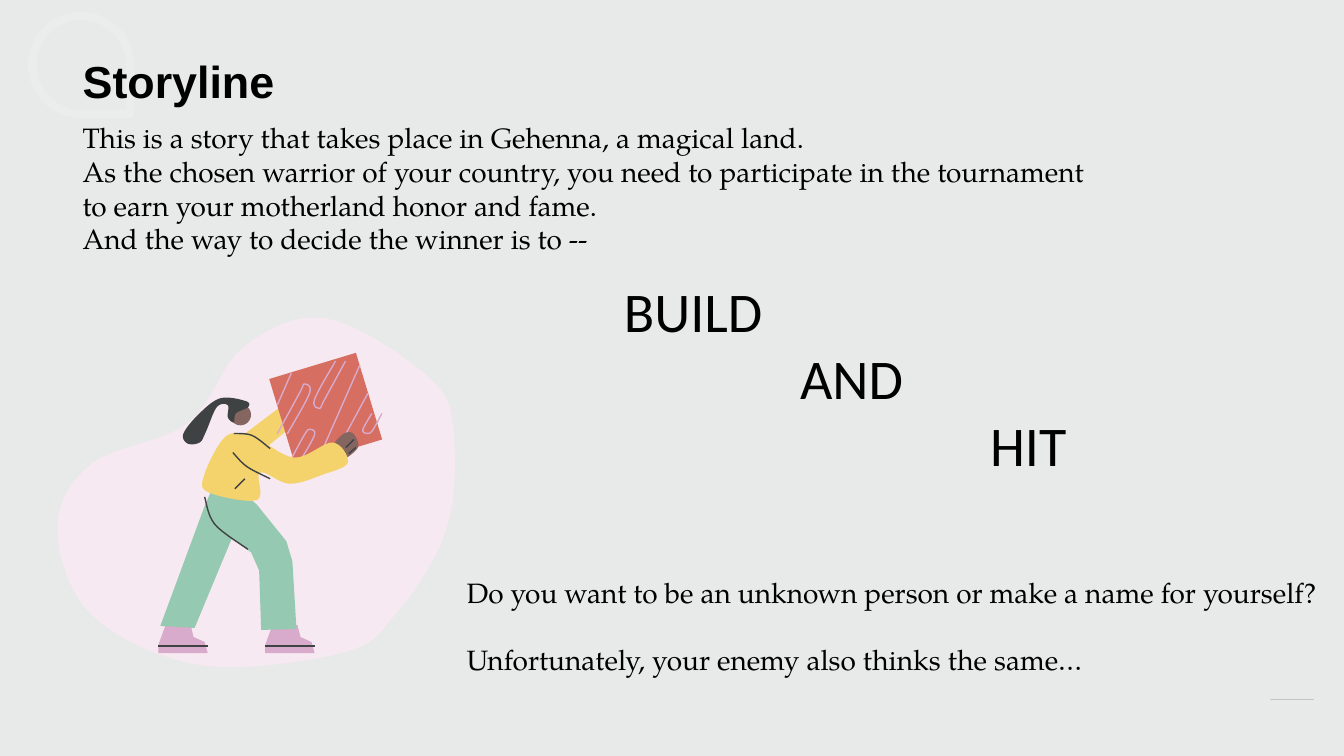
from pptx import Presentation
from pptx.util import Inches, Pt
from pptx.dml.color import RGBColor
from pptx.enum.shapes import MSO_SHAPE, MSO_CONNECTOR
from pptx.enum.text import PP_ALIGN, MSO_ANCHOR, MSO_AUTO_SIZE
from pptx.oxml.ns import qn
from lxml.etree import SubElement

INK = {
    "page": "E8EAE9", "ring": "EBEDEC", "rule": "181818", "text": "000000",
    "blob": "F7E9F1", "shirt": "F4D26C", "box": "D66E61", "mauve": "D8AACB",
    "skin": "85655F", "dark": "3F4242", "pants": "96C9B2",
}
TITLE = "Storyline"
SERIF = {"name": "TeX Gyre Pagella", "size": Pt(20)}
SANS = {"name": "Calibri", "size": Pt(40)}
HEAD = {"name": "Arial", "size": Pt(32), "bold": True}
LEFT, MID, RIGHT = PP_ALIGN.LEFT, PP_ALIGN.CENTER, PP_ALIGN.RIGHT

TEXTS = [
    ((0.72, 1.15, 10.39, 1.45), SERIF, 0, [
        ("This is a story that takes place in Gehenna, a magical land.", LEFT),
        ("As the chosen warrior of your country, you need to participate in the "
         "tournament to earn your motherland honor and fame.", LEFT),
        ("And the way to decide the winner is to --", LEFT)]),
    ((6.09, 2.69, 4.71, 2.12), SANS, 0,
     [("BUILD ", LEFT), ("AND", MID), ("HIT ", RIGHT)]),
    ((4.53, 5.66, 8.87, 1.11), SERIF, 24, [
        ("Do you want to be an unknown person or make a name for yourself?", LEFT),
        ("Unfortunately, your enemy also thinks the same…", LEFT)]),
]

BLOB = [(0.57, 5.24), (0.91, 4.6), (1.86, 4.2), (2.42, 3.44), (3.24, 3.16), (4.26, 3.75),
        (4.5, 4.31), (4.42, 5.27), (3.91, 6.11), (3.38, 6.48), (1.99, 6.6), (0.91, 6.1)]
ARM = [(3.15, 4.02), (2.53, 4.53), (2.38, 4.34), (3.04, 3.84)]
BOX = [(3.79, 4.36), (2.93, 4.62), (2.67, 3.76), (3.53, 3.5)]
BARS = [[(2.89, 3.7), (2.75, 4.02)], [(3.57, 3.62), (3.16, 4.55)], [(3.65, 3.9), (3.33, 4.49)]]
LOOPS = [(3.02, 3.81, 0.55), (3.07, 4.26, 0.32), (3.17, 4.05, -0.52), (3.65, 4.3, -0.22)]
HAND = [(3.3, 4.44), (3.4, 4.31), (3.5, 4.3), (3.55, 4.44), (3.37, 4.57)]
SHOE = [(1.65, 6.18), (1.89, 6.2), (1.92, 6.32), (2.03, 6.37), (2.06, 6.48),
        (1.57, 6.48), (1.57, 6.4)]
SOLE = [(1.57, 6.41), (2.06, 6.41)]
FACE = (2.28, 4.01, 0.21, 0.21)
PANTS = [(2.03, 5.02), (1.59, 6.21), (1.93, 6.23), (2.3, 5.34), (2.49, 5.48), (2.57, 5.66),
         (2.59, 6.25), (2.94, 6.24), (2.9, 5.57), (2.84, 5.37), (2.55, 5.01),
         (2.33, 4.81), (2.13, 4.79)]
HAIR = [(2.44, 3.98), (2.19, 3.95), (1.98, 4.1), (1.82, 4.3), (1.86, 4.4), (1.98, 4.39),
        (2.04, 4.29), (2.15, 4.04), (2.26, 4.02), (2.26, 4.14), (2.32, 4.19),
        (2.34, 4.1), (2.46, 4.04)]
SHIRT = [(3.45, 4.59), (3.3, 4.39), (2.92, 4.54), (2.52, 4.34), (2.24, 4.33), (2.02, 4.73),
         (2.08, 4.89), (2.55, 4.96), (2.58, 4.69), (2.87, 4.8), (3.2, 4.71)]
FOLDS = [[(2.03, 4.93), (2.13, 5.2), (2.46, 5.45)], [(2.31, 4.49), (2.45, 4.63), (2.68, 4.75)],
         [(2.43, 4.75), (2.33, 4.85)], [(2.32, 4.3), (2.5, 4.32), (2.68, 4.45)]]
NAILS = [[(3.51, 4.36), (3.43, 4.44)], [(3.53, 4.44), (3.46, 4.5)]]


def tint(name):
    return RGBColor.from_string(INK[name])


def style(par, look):
    for key, val in look.items():
        setattr(par.font, key, val)
    par.font.color.rgb = tint("text")


def move(pts, step):
    return [(x + step, y) for x, y in pts]


def loop(x, y, size):
    side = 0.05
    return [(x - 0.4 * size - side, y + 0.9 * size), (x - side, y + size / 6), (x, y),
            (x + side, y + size / 6), (x - 0.4 * size + side, y + 0.9 * size)]


def curve(pts, closed, steps=8):
    ring = [pts[-1], *pts, *pts[:2]] if closed else [pts[0], *pts, pts[-1]]
    out = [pts[0]]
    for a, b, c, d in zip(ring, ring[1:], ring[2:], ring[3:]):
        for i in range(1, steps + 1):
            t = i / steps
            out.append(tuple(
                q + t * ((r - p) + t * ((2 * p - 5 * q + 4 * r - s)
                         + t * (3 * q - p - 3 * r + s))) / 2
                for p, q, r, s in zip(a, b, c, d)))
    return out


def paint(form, name, closed=True):
    form.shadow.inherit = False
    if closed:
        form.fill.solid()
        form.fill.fore_color.rgb = tint(name)
        form.line.fill.background()
    else:
        form.fill.background()
        form.line.color.rgb = tint(name)
        form.line.width = Pt(1)


def draw(group, name, pts, closed=True, smooth=True):
    track = curve(pts, closed) if smooth else pts
    start, *rest = [(Inches(x), Inches(y)) for x, y in track]
    pen = group.shapes.build_freeform(*start)
    pen.add_line_segments(rest, close=closed)
    paint(pen.convert_to_shape(), name, closed)


def figure(group):
    draw(group, "blob", BLOB)
    draw(group, "shirt", ARM, smooth=False)
    draw(group, "box", BOX, smooth=False)
    for pts in BARS + [loop(*spot) for spot in LOOPS]:
        draw(group, "mauve", pts, closed=False)
    draw(group, "skin", HAND)
    for step in (0, 1.06):
        draw(group, "mauve", move(SHOE, step), smooth=False)
        draw(group, "dark", move(SOLE, step), closed=False)
    paint(group.shapes.add_shape(MSO_SHAPE.OVAL, *map(Inches, FACE)), "skin")
    draw(group, "pants", PANTS, smooth=False)
    draw(group, "dark", HAIR)
    draw(group, "shirt", SHIRT)
    for pts in FOLDS + NAILS:
        draw(group, "dark", pts, closed=False)


def write(slide, area, look, gap, rows):
    frame = slide.shapes.add_textbox(*map(Inches, area)).text_frame
    frame.word_wrap = True
    for i, (text, side) in enumerate(rows):
        par = frame.add_paragraph() if i else frame.paragraphs[0]
        par.text, par.alignment = text, side
        par.space_before = Pt(gap if i else 0)
        style(par, look)


def decor(slide):
    ring = slide.shapes.add_shape(MSO_SHAPE.TEAR, *map(Inches, (0.32, 0.16, 0.97, 0.97)))
    paint(ring, "page")
    ring.line.color.rgb = tint("ring")
    ring.line.width = Pt(6)
    ring.element.spPr.find(qn("a:xfrm")).set("flipV", "1")
    rule = slide.shapes.add_connector(
        MSO_CONNECTOR.STRAIGHT, *map(Inches, (12.6, 6.94, 13.03, 6.94)))
    rule.line.color.rgb = tint("rule")
    rule.line.width = Pt(0.25)
    prop = rule.element.spPr
    SubElement(next(prop.iter(qn("a:srgbClr"))), qn("a:alpha"), val="50000")
    SubElement(prop, qn("a:effectLst"))


def main():
    deck = Presentation()
    deck.slide_width, deck.slide_height = Inches(13.33), Inches(7.5)
    slide = deck.slides.add_slide(deck.slide_layouts[5])
    slide.background.fill.solid()
    slide.background.fill.fore_color.rgb = tint("page")
    decor(slide)
    head = slide.shapes.title
    head.left, head.top, head.width, head.height = map(Inches, (0.72, 0, 11.88, 1.12))
    frame = head.text_frame
    frame.text = TITLE
    frame.auto_size, frame.vertical_anchor = MSO_AUTO_SIZE.NONE, MSO_ANCHOR.BOTTOM
    par = frame.paragraphs[0]
    par.alignment, par.line_spacing = LEFT, 0.9
    style(par, HEAD)
    tree = slide.shapes.element
    tree.remove(head.element)
    tree.append(head.element)
    figure(slide.shapes.add_group_shape())
    for item in TEXTS:
        write(slide, *item)
    deck.save("out.pptx")


if __name__ == "__main__":
    main()
